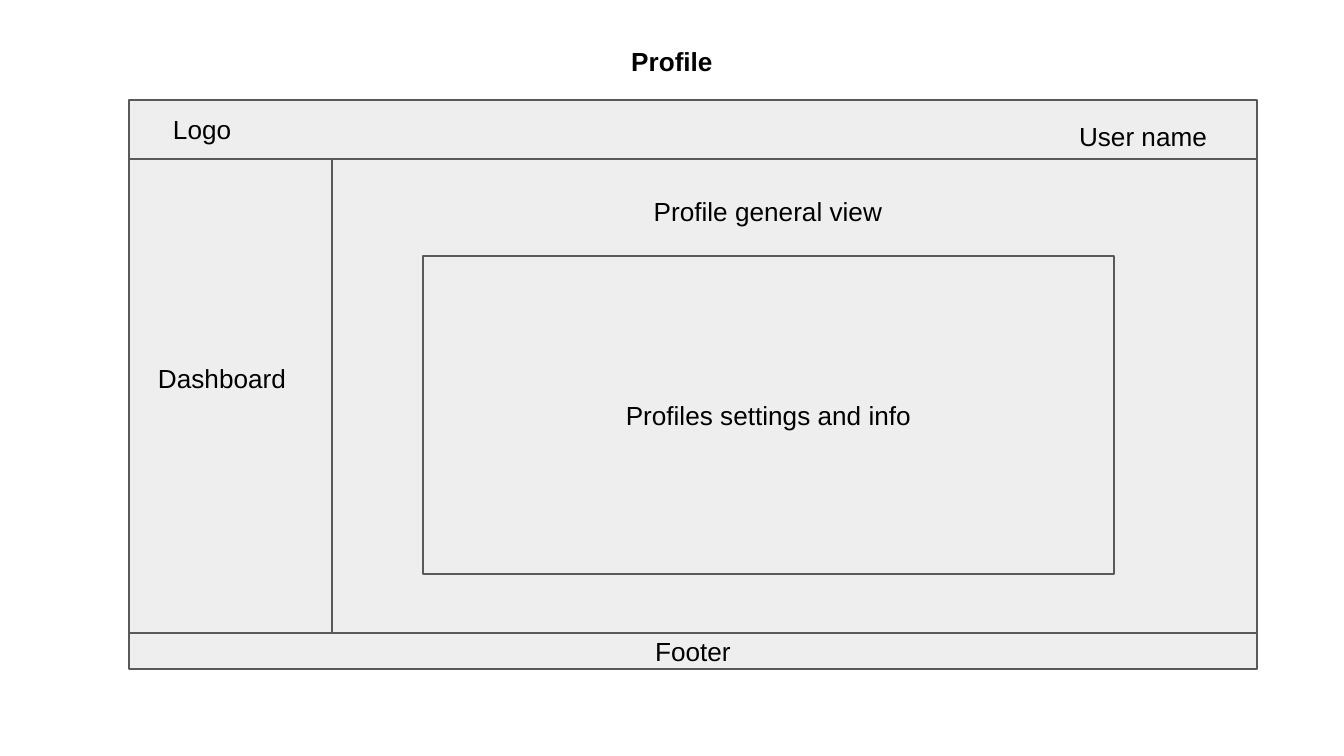
from pptx import Presentation
from pptx.dml.color import RGBColor
from pptx.enum.shapes import MSO_SHAPE
from pptx.enum.text import MSO_ANCHOR, PP_ALIGN
from pptx.util import Emu, Pt

RECT = MSO_SHAPE.RECTANGLE
TOP, MIDDLE = MSO_ANCHOR.TOP, MSO_ANCHOR.MIDDLE
LEFT, CENTER = PP_ALIGN.LEFT, PP_ALIGN.CENTER
COLORS = {"panel": "EEEEEE", "border": "595959", "text": "000000"}
EMU_PER_PX = 914400 / 134.4


def px(*lengths):
    """Turn pixel lengths into a list of EMU lengths."""
    return [Emu(round(n * EMU_PER_PX)) for n in lengths]


def rgb(name):
    """Look up a named colour."""
    return RGBColor.from_string(COLORS[name])


class Wireframe:
    """Style and current slide of a page wireframe."""

    font, size, inset, label_height = "Arial", Pt(14), 13, 59

    def __init__(self, slide):
        """Keep the slide to draw on."""
        self.s = slide

    def set_text(self, sp, text, align, anchor, bold=False):
        """Put one formatted line of text into a shape."""
        tf = sp.text_frame
        tf.word_wrap = True
        tf.vertical_anchor = anchor
        inset, = px(self.inset)
        tf.margin_left = tf.margin_right = inset
        tf.margin_top = tf.margin_bottom = inset
        p = tf.paragraphs[0]
        p.alignment = align
        r = p.add_run()
        r.text = text
        r.font.name, r.font.size, r.font.bold = self.font, self.size, bold
        r.font.color.rgb = rgb("text")

    def title(self, text, x, y, w):
        """Move and fill the title placeholder."""
        sp = self.s.shapes.title
        sp.left, sp.top, sp.width, sp.height = px(x, y, w, self.label_height)
        self.set_text(sp, text, CENTER, TOP, bold=True)

    def panel(self, x, y, right, bottom, text=None):
        """Draw a bordered area between two corners, with optional text."""
        sp = self.s.shapes.add_shape(RECT, *px(x, y, right - x, bottom - y))
        sp.shadow.inherit = False
        sp.fill.solid()
        sp.fill.fore_color.rgb = rgb("panel")
        sp.line.color.rgb = rgb("border")
        sp.line.width = Pt(0.75)
        if text:
            self.set_text(sp, text, CENTER, MIDDLE)

    def label(self, text, x, y, w, align=LEFT):
        """Add a one-line text box."""
        sp = self.s.shapes.add_textbox(*px(x, y, w, self.label_height))
        self.set_text(sp, text, align, TOP)


prs = Presentation()
prs.slide_width, prs.slide_height = px(1344, 756)
page = Wireframe(prs.slides.add_slide(prs.slide_layouts[5]))

page_left, menu_right, page_right = 129, 332, 1257
header_top, header_bottom, footer_top, footer_bottom = 100, 159, 633, 669

page.title("Profile", 278, 32, 788)
page.panel(page_left, header_top, page_right, header_bottom)
page.panel(menu_right, header_bottom, page_right, footer_top)
page.panel(page_left, header_bottom, menu_right, footer_top)
page.label("Profile general view", 624, 182, 288, CENTER)
page.label("Dashboard", 145, 349, 187)
page.panel(423, 256, 1114, 574, "Profiles settings and info")
page.label("Logo", 160, header_top, 100)
page.panel(page_left, footer_top, page_right, footer_bottom, "Footer")
page.label("User name", 1066, 107, 192)

prs.save("out.pptx")
